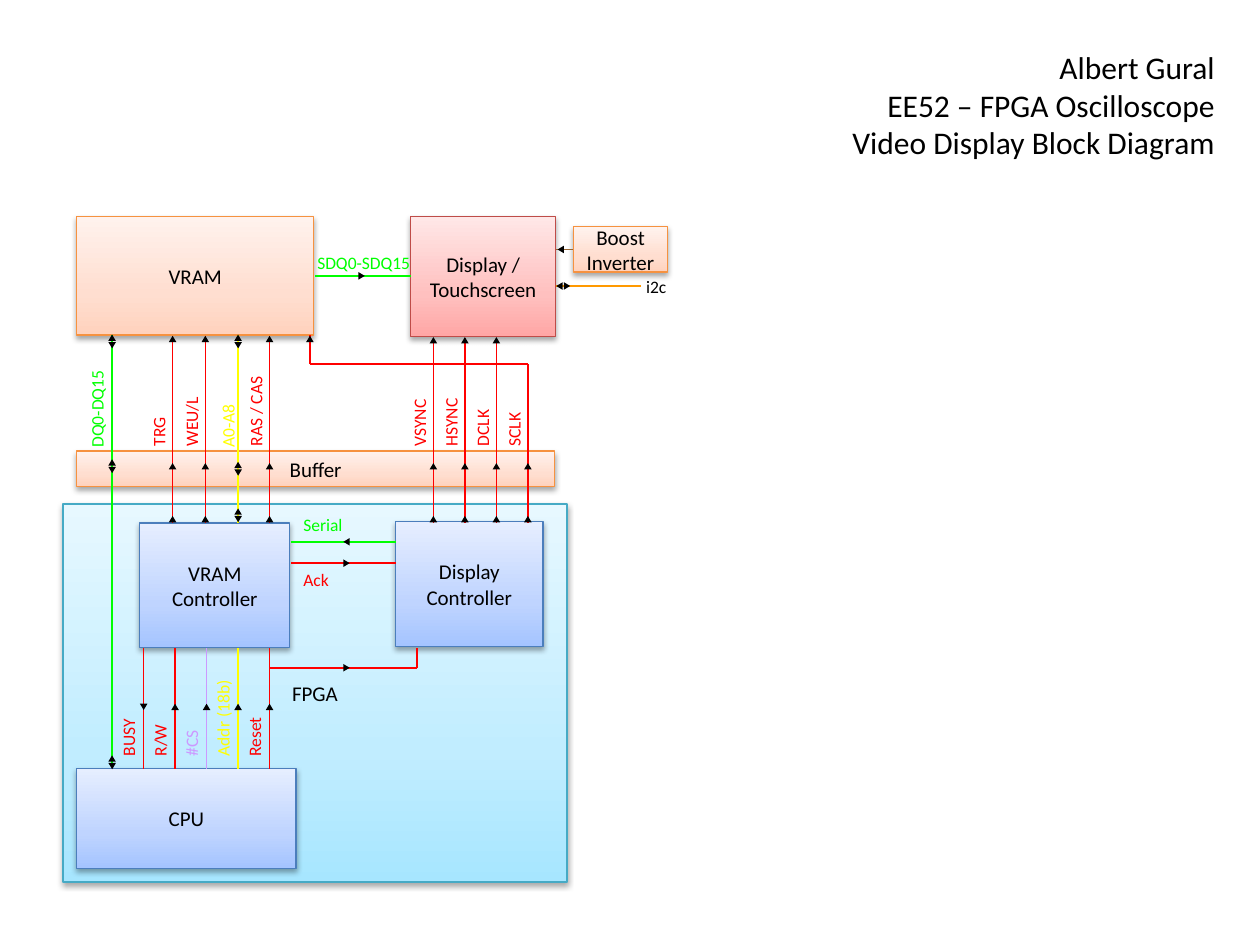
import copy
from dataclasses import dataclass

import pptx
import pptx.dml.color
import pptx.enum.shapes
import pptx.enum.text
import pptx.oxml
import pptx.oxml.ns
import pptx.util
from pptx.util import Inches

SHAPE = pptx.enum.shapes.MSO_SHAPE
ALIGN = pptx.enum.text.PP_ALIGN
UP, RIGHT, DOWN, LEFT = 0, 90, 180, 270


@dataclass(frozen=True)
class Theme:
    font: str = "Calibri"
    title_size: int = 18
    block_size: int = 12
    label_size: int = 10
    black: str = "000000"
    control: str = "FF0000"
    data: str = "00FF00"
    address: str = "FFFF00"
    select: str = "CC99FF"
    touch: str = "FF9900"
    power: str = "996633"
    orange: tuple = ("FFD2BD", "FFDED0", "FFF2ED", "F69240")
    aqua: tuple = ("A7E6FF", "C1EDFF", "E7F8FF", "46AAC5")
    blue: tuple = ("A4C4FF", "BFD4FF", "E6EEFF", "4B7EBC")
    red: tuple = ("FFA6A5", "FFC0BF", "FFE7E7", "BF4C48")


def rgb(value):
    return pptx.dml.color.RGBColor.from_string(value)


class Diagram:
    def __init__(self, slide, theme):
        self.shapes = slide.shapes
        self.theme = theme

    def set_text(self, frame, lines, size, color, align):
        frame.word_wrap = True
        frame.text = "\n".join(lines)
        for paragraph in frame.paragraphs:
            paragraph.alignment = align
            paragraph.font.name = self.theme.font
            paragraph.font.size = pptx.util.Pt(size)
            paragraph.font.color.rgb = rgb(color)

    def block(self, name, left, top, width, height, palette):
        block = self.shapes.add_shape(
            SHAPE.FLOWCHART_PROCESS,
            Inches(left), Inches(top), Inches(width), Inches(height))
        block.fill.gradient()
        block.fill.gradient_angle = 90
        stop_list = block._element.spPr.find(".//" + pptx.oxml.ns.qn("a:gsLst"))
        stop_list.insert(1, copy.deepcopy(stop_list[0]))
        stops = block.fill.gradient_stops
        for stop, position, color in zip(stops, (0, 0.35, 1), palette):
            stop.position = position
            stop.color.rgb = rgb(color)
        block.line.color.rgb = rgb(palette[3])
        block.line.width = pptx.util.Pt(0.75)
        block.text_frame.vertical_anchor = pptx.enum.text.MSO_ANCHOR.MIDDLE
        self.set_text(block.text_frame, [name], self.theme.block_size,
                      self.theme.black, ALIGN.CENTER)

    def wire(self, color, *points):
        for start, end in zip(points, points[1:]):
            wire = self.shapes.add_connector(
                pptx.enum.shapes.MSO_CONNECTOR.STRAIGHT,
                *(Inches(value) for value in start + end))
            wire.line.color.rgb = rgb(color)
            wire.line.width = pptx.util.Pt(1)
            wire._element.spPr.append(
                pptx.oxml.parse_xml("<a:effectLst %s/>" % pptx.oxml.ns.nsdecls("a")))

    def tip(self, x, y, direction=UP):
        tip = self.shapes.add_shape(
            SHAPE.ISOSCELES_TRIANGLE,
            Inches(x - 0.03), Inches(y - 0.025), Inches(0.06), Inches(0.05))
        tip.rotation = direction
        tip.shadow.inherit = False
        tip.fill.solid()
        tip.fill.fore_color.rgb = rgb(self.theme.black)
        tip.line.fill.background()

    def double_tip(self, x, y):
        self.tip(x, y - 0.03, UP)
        self.tip(x, y + 0.03, DOWN)

    def text(self, lines, left, top, width, height, size, color, align=ALIGN.LEFT):
        box = self.shapes.add_textbox(
            Inches(left), Inches(top), Inches(width), Inches(height))
        self.set_text(box.text_frame, lines, size, color, align)
        return box

    def label(self, name, left, top, color):
        return self.text([name], left, top, 1, 0.27, self.theme.label_size, color)

    def upright_label(self, name, x, bottom, color):
        label = self.label(name, x - 0.5, bottom - 0.635, color)
        label.rotation = 270


deck = pptx.Presentation()
deck.slide_width, deck.slide_height = Inches(10), Inches(7.5)
theme = Theme()
diagram = Diagram(deck.slides.add_slide(deck.slide_layouts[6]), theme)

for block in (
    ("Buffer", 0.61, 3.58, 3.79, 0.28, theme.orange),
    ("FPGA", 0.5, 4, 4, 3, theme.aqua),
    ("VRAM Controller", 1.11, 4.15, 1.19, 0.99, theme.blue),
    ("VRAM", 0.61, 1.72, 1.88, 0.94, theme.orange),
    ("Boost Inverter", 4.55, 1.8, 0.75, 0.36, theme.orange),
    ("Display Controller", 3.14, 4.14, 1.17, 0.99, theme.blue),
    ("Display / Touchscreen", 3.26, 1.72, 1.15, 0.95, theme.red),
    ("CPU", 0.61, 6.1, 1.74, 0.79, theme.blue),
):
    diagram.block(*block)

for signal, x, top in (
    ("TRG", 1.37, 2.67), ("WEU/L", 1.63, 2.67), ("RAS / CAS", 2.14, 2.67),
    ("VSYNC", 3.44, 2.68), ("HSYNC", 3.69, 2.68), ("DCLK", 3.94, 2.68),
    ("SCLK", 4.19, 2.89),
):
    diagram.wire(theme.control, (x, 4.15), (x, top))
    for y in (3.7, 4.12):
        diagram.tip(x, y)
    if signal != "SCLK":
        diagram.tip(x, top + 0.02)
    diagram.upright_label(signal, x - 0.11, 3.64, theme.control)

diagram.wire(theme.control, (4.19, 2.89), (2.46, 2.89), (2.46, 2.66))
diagram.tip(2.46, 2.69)

for signal, x, bottom, color, label_gap, tips in (
    ("A0-A8", 1.89, 4.15, theme.address, 0.08, (2.71, 3.72, 4.09)),
    ("DQ0-DQ15", 0.89, 6.09, theme.data, 0.12, (2.71, 3.7, 6.05)),
):
    diagram.wire(color, (x, bottom), (x, 2.66))
    for y in tips:
        diagram.double_tip(x, y)
    diagram.upright_label(signal, x - label_gap, 3.65, color)

for column, (signal, color, direction) in enumerate((
    ("BUSY", theme.control, DOWN), ("R/W", theme.control, UP),
    ("#CS", theme.select, UP), ("Addr (18b)", theme.address, UP),
    ("Reset", theme.control, UP),
)):
    x = 1.14 + 0.25 * column
    diagram.wire(color, (x, 6.1), (x, 5.14))
    diagram.tip(x, 5.61, direction)
    diagram.upright_label(signal, x - 0.12, 6.1, color)

diagram.wire(theme.control, (2.14, 5.3), (3.31, 5.3), (3.31, 5.14))
diagram.tip(2.75, 5.3, RIGHT)

for color, start, end, y, tip_x, direction in (
    (theme.data, 2.5, 3.26, 2.19, 2.87, RIGHT),
    (theme.data, 2.31, 3.14, 4.3, 2.75, LEFT),
    (theme.control, 2.31, 3.14, 4.47, 2.75, RIGHT),
    (theme.power, 4.41, 4.55, 1.98, 4.45, LEFT),
    (theme.touch, 4.41, 5.09, 2.27, 4.44, LEFT),
):
    diagram.wire(color, (start, y), (end, y))
    diagram.tip(tip_x, y, direction)
diagram.tip(4.5, 2.27, RIGHT)

for label in (
    ("SDQ0-SDQ15", 2.42, 1.95, theme.data),
    ("Serial", 2.31, 4.03, theme.data),
    ("Ack", 2.31, 4.47, theme.control),
    ("i2c", 5.03, 2.14, theme.black),
):
    diagram.label(*label)

diagram.text(
    ["Albert Gural", "EE52 – FPGA Oscilloscope", "Video Display Block Diagram"],
    6.23, 0.33, 3.51, 1.01, theme.title_size, theme.black, ALIGN.RIGHT)

deck.save("out.pptx")
